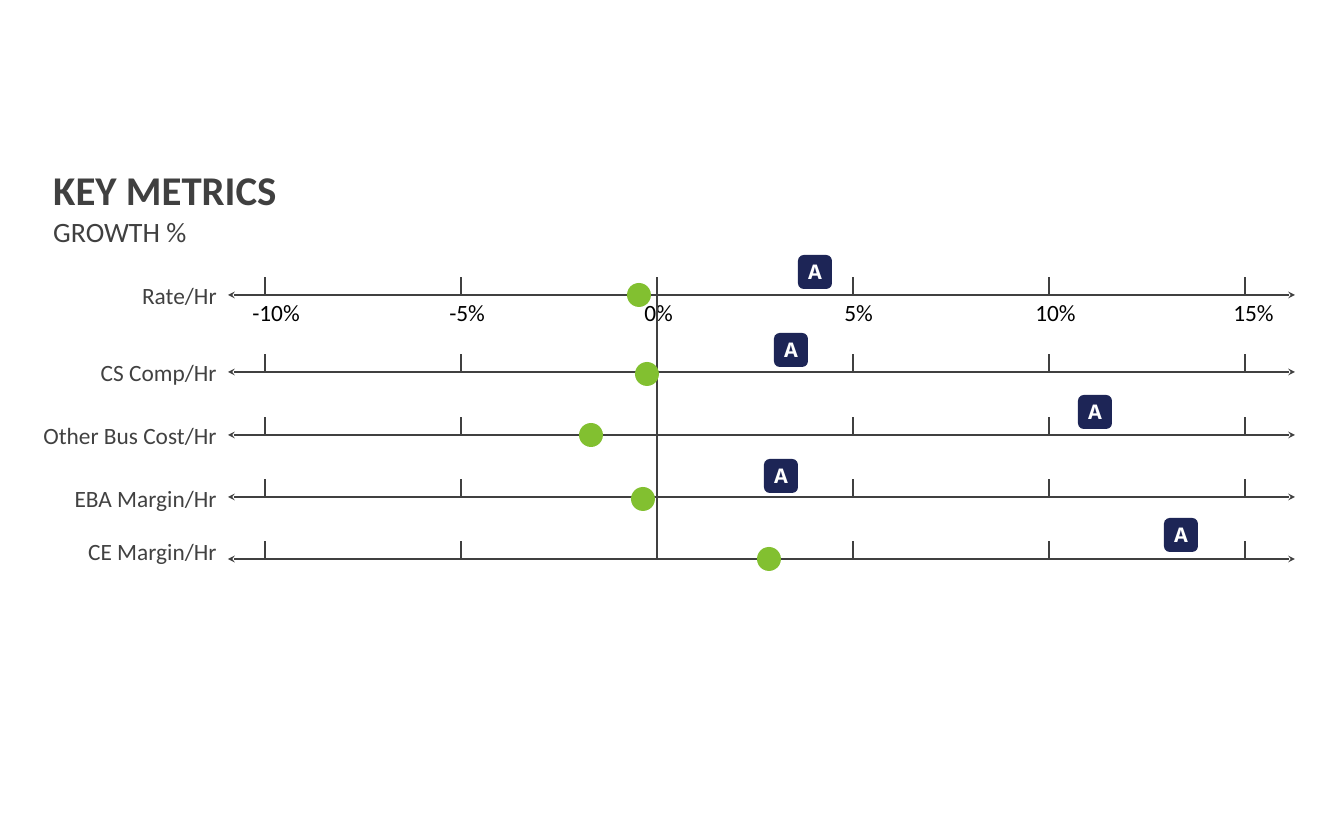
"""Build the key metrics growth slide with one axis per metric."""
from lxml.etree import SubElement
from pptx import Presentation
from pptx.dml.color import RGBColor
from pptx.enum.shapes import MSO_CONNECTOR, MSO_SHAPE
from pptx.enum.text import MSO_ANCHOR, MSO_AUTO_SIZE, PP_ALIGN
from pptx.oxml.ns import qn
from pptx.util import Emu, Pt

PIXEL = 914400 / 84
THEME = {
    "line": RGBColor.from_string("404040"),
    "badge": RGBColor.from_string("1D2556"),
    "dot": RGBColor.from_string("82C030"),
    "line_width": Pt(1),
    "title": {"name": "Calibri", "size": Pt(35), "bold": True, "color": "404040"},
    "subtitle": {"name": "Calibri", "size": Pt(24), "bold": False, "color": "404040"},
    "metric": {"name": "Calibri", "size": Pt(20), "bold": False, "color": "414141"},
    "scale": {"name": "Calibri", "size": Pt(20), "bold": False, "color": "000000"},
    "letter": {"name": "Inter", "size": Pt(17), "bold": True, "color": "FFFFFF"},
}
AXIS_LEFT, AXIS_RIGHT = 228, 1295
TICK_LEFT, TICK_GAP, TICK_HEIGHT = 265, 196, 17
BADGE_SIZE, DOT_SIZE = 34, 24
SCALE = [("-10%", 244), ("-5%", 441), ("0%", 636), ("5%", 836), ("10%", 1027), ("15%", 1225)]
ZERO = 2
METRICS = [
    {"name": "Rate/Hr", "label_top": 277, "axis": 295, "badge": (798, 255), "dot": (627, 283)},
    {"name": "CS Comp/Hr", "label_top": 354, "axis": 372, "badge": (774, 333), "dot": (635, 362)},
    {"name": "Other Bus Cost/Hr", "label_top": 417, "axis": 435, "badge": (1078, 395), "dot": (579, 423)},
    {"name": "EBA Margin/Hr", "label_top": 480, "axis": 497, "badge": (764, 459), "dot": (631, 487)},
    {"name": "CE Margin/Hr", "label_top": 533, "axis": 559, "badge": (1164, 518), "dot": (757, 547)},
]

deck = Presentation()
deck.slide_width, deck.slide_height = Emu(round(1344 * PIXEL)), Emu(round(840 * PIXEL))
page = deck.slides.add_slide(deck.slide_layouts[6])


def add_words(place, lines, align=PP_ALIGN.LEFT, badge=False):
    """Add a text box, or a filled badge, with one paragraph per line."""
    lengths = [Emu(round(length * PIXEL)) for length in place]
    if badge:
        box = page.shapes.add_shape(MSO_SHAPE.ROUNDED_RECTANGLE, *lengths)
        box.shadow.inherit = False
        box.fill.solid()
        box.fill.fore_color.rgb = THEME["badge"]
        box.line.fill.background()
        frame_format = {"margin_left": 0, "margin_right": 0, "margin_top": 0,
                        "margin_bottom": 0, "vertical_anchor": MSO_ANCHOR.MIDDLE}
    else:
        box = page.shapes.add_textbox(*lengths)
        frame_format = {"word_wrap": True, "auto_size": MSO_AUTO_SIZE.SHAPE_TO_FIT_TEXT}
    frame = box.text_frame
    for key, value in frame_format.items():
        setattr(frame, key, value)
    for index, (words, style) in enumerate(lines):
        para = frame.add_paragraph() if index else frame.paragraphs[0]
        para.alignment = align
        span = para.add_run()
        span.text = words
        for key, value in THEME[style].items():
            if key == "color":
                span.font.color.rgb = RGBColor.from_string(value)
            else:
                setattr(span.font, key, value)


def add_rule(start_x, start_y, end_x, end_y, arrows=False):
    """Add a thin straight line, with arrowheads at both ends if asked."""
    lengths = [Emu(round(length * PIXEL)) for length in (start_x, start_y, end_x, end_y)]
    rule = page.shapes.add_connector(MSO_CONNECTOR.STRAIGHT, *lengths)
    rule.line.color.rgb = THEME["line"]
    rule.line.width = THEME["line_width"]
    properties = rule.element.spPr
    if arrows:
        outline = properties.find(qn("a:ln"))
        for end in ("a:headEnd", "a:tailEnd"):
            SubElement(outline, qn(end), type="stealth")
    SubElement(properties, qn("a:effectLst"))


add_words((45, 161, 1048, 95), [("KEY METRICS", "title"), ("GROWTH %", "subtitle")])
for percent, left in SCALE:
    add_words((left, 294, 89, 37), [(percent, "scale")])

for metric in METRICS:
    axis = metric["axis"]
    add_words((-3, metric["label_top"], 228, 37), [(metric["name"], "metric")], PP_ALIGN.RIGHT)
    add_words((*metric["badge"], BADGE_SIZE, BADGE_SIZE), [("A", "letter")], PP_ALIGN.CENTER, badge=True)
    add_rule(AXIS_LEFT, axis, AXIS_RIGHT, axis, arrows=True)
    for step in range(len(SCALE)):
        if step != ZERO:
            tick = TICK_LEFT + step * TICK_GAP
            add_rule(tick, axis - 1, tick, axis - 1 - TICK_HEIGHT)

zero_line = TICK_LEFT + ZERO * TICK_GAP
add_rule(zero_line, METRICS[-1]["axis"], zero_line, METRICS[0]["axis"] - 1 - TICK_HEIGHT)

for metric in METRICS:
    lengths = [Emu(round(length * PIXEL)) for length in (*metric["dot"], DOT_SIZE, DOT_SIZE)]
    dot = page.shapes.add_shape(MSO_SHAPE.OVAL, *lengths)
    dot.shadow.inherit = False
    dot.fill.solid()
    dot.fill.fore_color.rgb = THEME["dot"]
    dot.line.fill.background()

deck.save("out.pptx")
